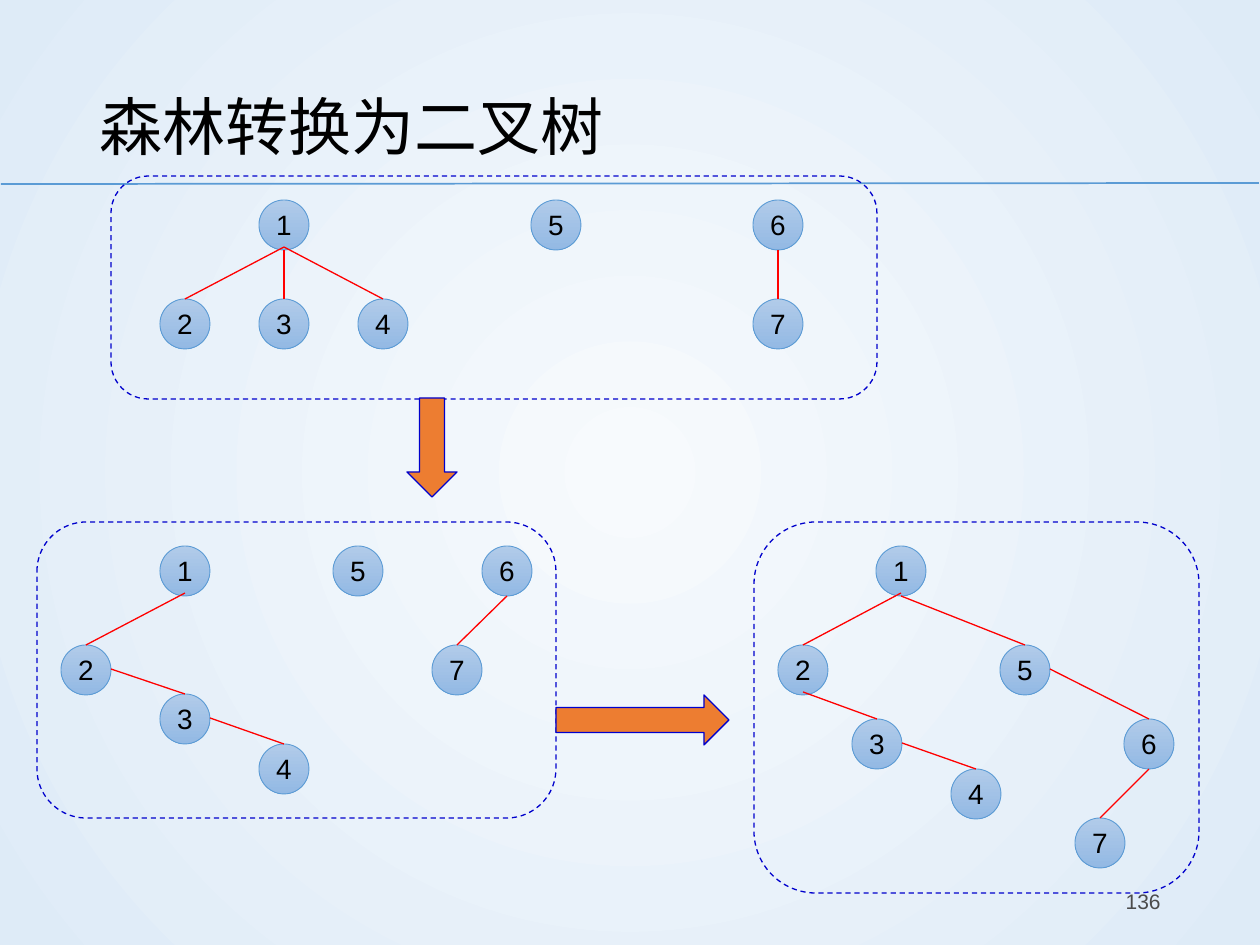
from typing import NamedTuple

from lxml.etree import SubElement
from pptx import Presentation
from pptx.dml.color import RGBColor as RGB
from pptx.enum.dml import MSO_LINE
from pptx.enum.shapes import MSO_CONNECTOR as CONN, MSO_SHAPE as SHAPE
from pptx.enum.text import MSO_ANCHOR as ANCHOR, PP_ALIGN as ALIGN
from pptx.oxml.ns import qn
from pptx.util import Emu, Pt

C = {
    "bg_in": "F7FAFD", "bg_out": "DEEBF7", "rule": "5B9BD5",
    "node_top": "B1CBE9", "node_low": "93B9E4", "edge": "FF0000",
    "frame": "0000CC", "arrow": "ED7D31", "text": "000000", "number": "4B4B4B",
}
PX = 914400 / 126
NODE = 50
# Where an edge leaves its parent, measured from the node centre
EXITS = {"bottom": (0, 25), "inner": (0, 22), "right": (25, -1)}


class Box(NamedTuple):
    x: int
    y: int
    w: int
    h: int


class Edge(NamedTuple):
    parent: int
    child: int
    side: str


class Forest(NamedTuple):
    frame: Box
    nodes: dict[int, tuple[int, int]]  # label -> centre
    edges: list[Edge]


FORESTS = [
    # The forest
    Forest(
        Box(111, 176, 766, 223),
        {1: (284, 225), 2: (185, 324), 3: (284, 324), 4: (383, 324),
         5: (556, 225), 6: (778, 225), 7: (778, 324)},
        [Edge(1, 2, "inner"), Edge(1, 3, "bottom"), Edge(1, 4, "inner"),
         Edge(6, 7, "bottom")],
    ),
    # Each tree as a binary tree
    Forest(
        Box(37, 522, 519, 296),
        {1: (185, 571), 2: (86, 670), 3: (185, 719), 4: (284, 769),
         5: (358, 571), 6: (507, 571), 7: (457, 670)},
        [Edge(1, 2, "inner"), Edge(2, 3, "right"), Edge(3, 4, "right"),
         Edge(6, 7, "bottom")],
    ),
    # The joined binary tree
    Forest(
        Box(754, 522, 445, 371),
        {1: (901, 571), 2: (803, 670), 3: (877, 744), 4: (976, 794),
         5: (1025, 670), 6: (1149, 744), 7: (1100, 843)},
        [Edge(1, 2, "inner"), Edge(2, 3, "inner"), Edge(3, 4, "right"),
         Edge(1, 5, "bottom"), Edge(5, 6, "right"), Edge(6, 7, "bottom")],
    ),
]
ARROWS = [
    (SHAPE.DOWN_ARROW, Box(407, 398, 50, 99)),
    (SHAPE.RIGHT_ARROW, Box(556, 695, 173, 50)),
]


def emu(px: int) -> Emu:
    return Emu(round(px * PX))


def rgb(name: str) -> RGB:
    return RGB.from_string(C[name])


def write(tf, text: str, *, size: int, color: str = "text",
          align=ALIGN.LEFT, spacing: float | None = None) -> None:
    tf.word_wrap = True
    tf.vertical_anchor = ANCHOR.MIDDLE
    p = tf.paragraphs[0]
    p.alignment = align
    p.line_spacing = spacing
    r = p.add_run()
    r.text = text
    r.font.name = "Arial"
    r.font.size = Pt(size)
    r.font.color.rgb = rgb(color)


def add_text(s, box: Box, text: str, **fmt) -> None:
    write(s.shapes.add_textbox(*map(emu, box)).text_frame, text, **fmt)


def add_shape(s, kind, box: Box, line: str, width: float):
    sp = s.shapes.add_shape(kind, *map(emu, box))
    sp.shadow.inherit = False
    sp.line.color.rgb = rgb(line)
    sp.line.width = Pt(width)
    return sp


def add_line(s, start: tuple[int, int], end: tuple[int, int],
             color: str, width: float) -> None:
    ln = s.shapes.add_connector(CONN.STRAIGHT, *map(emu, (*start, *end)))
    ln.line.color.rgb = rgb(color)
    ln.line.width = Pt(width)
    SubElement(ln._element.spPr, qn("a:effectLst"))


def fill_gradient(fill, first: str, last: str) -> None:
    fill.gradient()
    for stop, name, pos in zip(fill.gradient_stops, (first, last), (0, 1)):
        stop.color.rgb = rgb(name)
        stop.position = pos


def add_background(s) -> None:
    fill_gradient(s.background.fill, "bg_in", "bg_out")
    grad = s.element.find(".//" + qn("a:gradFill"))
    grad.remove(grad.find(qn("a:lin")))
    circle = SubElement(grad, qn("a:path"))
    circle.set("path", "circle")
    center = SubElement(circle, qn("a:fillToRect"))
    for side in "ltrb":
        center.set(side, "50000")


def add_node(s, label: int, x: int, y: int) -> None:
    half = NODE // 2
    sp = add_shape(s, SHAPE.OVAL, Box(x - half, y - half, NODE, NODE), "rule", 0.5)
    fill_gradient(sp.fill, "node_top", "node_low")
    sp.fill.gradient_angle = 270
    tf = sp.text_frame
    tf.margin_left = tf.margin_right = tf.margin_top = 0
    tf.margin_bottom = emu(2)
    write(tf, str(label), size=16, align=ALIGN.CENTER)


def add_forest(s, forest: Forest) -> None:
    for label, center in forest.nodes.items():
        add_node(s, label, *center)
    for edge in forest.edges:
        x, y = forest.nodes[edge.parent]
        dx, dy = EXITS[edge.side]
        cx, cy = forest.nodes[edge.child]
        add_line(s, (x + dx, y + dy), (cx, cy - NODE // 2), "edge", 0.75)
    frame = add_shape(s, SHAPE.ROUNDED_RECTANGLE, forest.frame, "frame", 0.75)
    frame.fill.background()
    frame.line.dash_style = MSO_LINE.DASH


def main() -> None:
    prs = Presentation()
    prs.slide_width, prs.slide_height = emu(1260), emu(945)
    s = prs.slides.add_slide(prs.slide_layouts[6])

    # Background, rule, title and page number
    add_background(s)
    add_line(s, (1, 184), (1259, 183), "rule", 1)
    add_text(s, Box(87, 50, 1086, 136), "森林转换为二叉树", size=36, spacing=1.2)
    add_text(s, Box(890, 876, 283, 50), "136", size=12, color="number",
             align=ALIGN.RIGHT)

    # Three stages and the arrows between them
    for forest in FORESTS:
        add_forest(s, forest)
    for kind, box in ARROWS:
        arrow = add_shape(s, kind, box, "frame", 0.75)
        arrow.fill.solid()
        arrow.fill.fore_color.rgb = rgb("arrow")

    prs.save("out.pptx")


if __name__ == "__main__":
    main()
